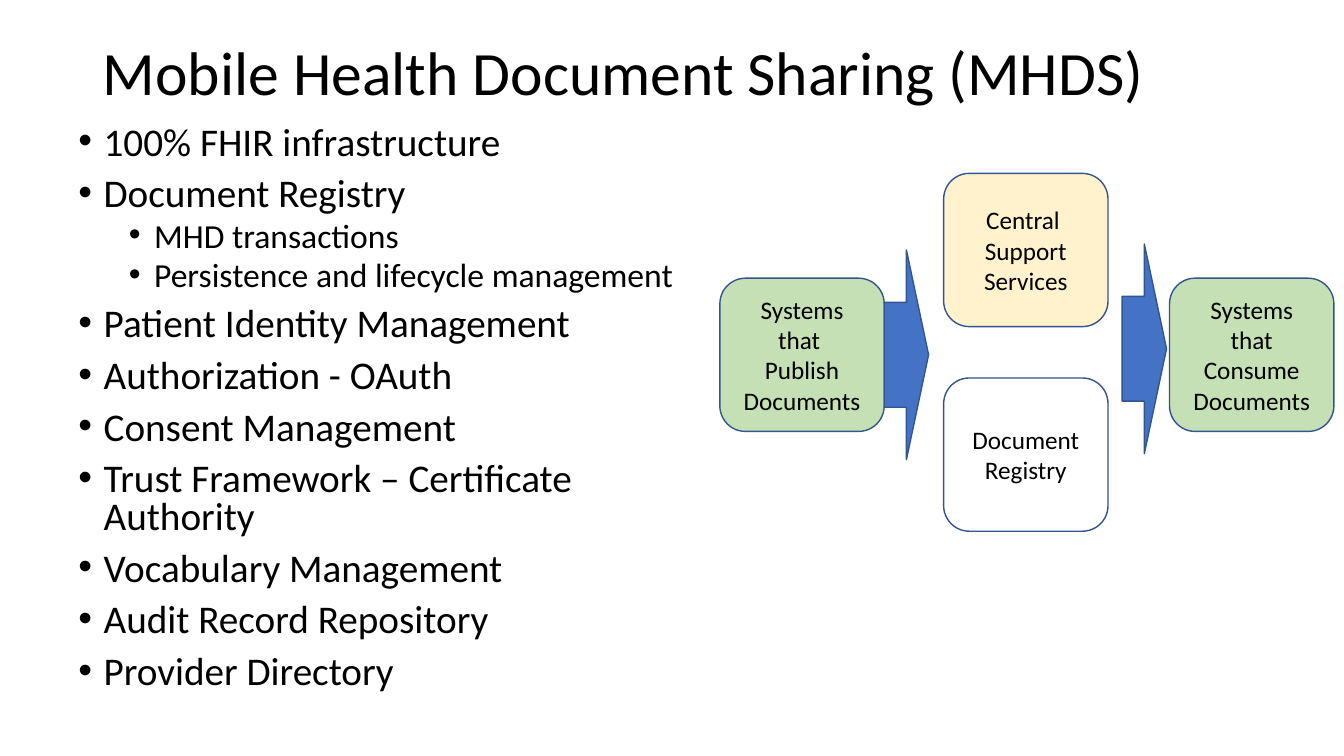
"""Build the Mobile Health Document Sharing slide."""
from lxml.etree import SubElement
from pptx import Presentation
from pptx.dml.color import RGBColor
from pptx.enum.shapes import MSO_SHAPE
from pptx.enum.text import MSO_ANCHOR, MSO_AUTO_SIZE, PP_ALIGN
from pptx.oxml.ns import qn
from pptx.util import Emu, Pt

PX = 9144
BLACK = RGBColor(0x00, 0x00, 0x00)
WHITE = RGBColor(0xFF, 0xFF, 0xFF)
CREAM = RGBColor(0xFF, 0xF2, 0xCC)
GREEN = RGBColor(0xC5, 0xE0, 0xB4)
BLUE = RGBColor(0x44, 0x72, 0xC4)
OUTLINE = RGBColor(0x32, 0x54, 0x91)

TITLE = "Mobile Health Document Sharing (MHDS)"
TOPICS = [
    (0, "100% FHIR infrastructure"),
    (0, "Document Registry"),
    (1, "MHD transactions"),
    (1, "Persistence and lifecycle management"),
    (0, "Patient Identity Management"),
    (0, "Authorization - OAuth"),
    (0, "Consent Management"),
    (0, "Trust Framework – Certificate Authority"),
    (0, "Vocabulary Management"),
    (0, "Audit Record Repository"),
    (0, "Provider Directory"),
]
BOX_WIDTH, BOX_HEIGHT = 163, 152
BOXES = [
    (936, 172, CREAM, "Central \vSupport Services"),
    (936, 375, WHITE, "Document Registry"),
    (714, 276, GREEN, "Systems that \vPublish Documents"),
    (1160, 276, GREEN, "Systems that Consume Documents"),
]
ARROW_WIDTH, ARROW_HEIGHT = 44, 208
ARROWS = [(877, 248), (1113, 242)]


def px(*lengths):
    """Turn whole px into EMU."""
    return [Emu(length * PX) for length in lengths]


def write(paragraph, text, size=18, align=PP_ALIGN.LEFT, spacing=1.0, before=0):
    """Fill a paragraph with formatted text."""
    paragraph.text = text
    paragraph.alignment = align
    paragraph.line_spacing = spacing
    paragraph.space_before = Pt(before)
    paragraph.font.size = Pt(size)
    for run in paragraph.runs:
        run.font.size = Pt(size)
        run.font.name = "Calibri"
        run.font.color.rgb = BLACK


class SlideBuilder:
    """Hold the style and the current slide."""

    def __init__(self, presentation):
        """Add a title-only slide."""
        self.slide = presentation.slides.add_slide(presentation.slide_layouts[5])
        self.line_width = Pt(1)

    def title(self, text, left, top, width, height):
        """Place and fill the title placeholder."""
        title = self.slide.shapes.title
        title.left, title.top, title.width, title.height = px(left, top, width, height)
        title.text_frame.auto_size = MSO_AUTO_SIZE.NONE
        title.text_frame.vertical_anchor = MSO_ANCHOR.MIDDLE
        write(title.text_frame.paragraphs[0], text, size=44, spacing=0.9)

    def bullets(self, items, left, top, width, height):
        """Add a two-level bulleted list."""
        frame = self.slide.shapes.add_textbox(*px(left, top, width, height)).text_frame
        frame.word_wrap = True
        for index, (level, text) in enumerate(items):
            paragraph = frame.add_paragraph() if index else frame.paragraphs[0]
            write(paragraph, text, size=28 - 4 * level, spacing=0.8, before=10 - 5 * level)
            paragraph.level = level
            properties = paragraph._p.get_or_add_pPr()
            indent, hanging = px(25 + 50 * level, -25)
            properties.set("marL", str(indent))
            properties.set("indent", str(hanging))
            SubElement(properties, qn("a:buFont"), typeface="Arial")
            SubElement(properties, qn("a:buChar"), char="•")

    def shape(self, kind, left, top, width, height, fill):
        """Add an outlined preset shape."""
        shape = self.slide.shapes.add_shape(kind, *px(left, top, width, height))
        shape.shadow.inherit = False
        shape.fill.solid()
        shape.fill.fore_color.rgb = fill
        shape.line.color.rgb = OUTLINE
        shape.line.width = self.line_width
        return shape

    def box(self, left, top, fill, text):
        """Add a rounded box with a centred label."""
        shape = self.shape(MSO_SHAPE.ROUNDED_RECTANGLE, left, top, BOX_WIDTH, BOX_HEIGHT, fill)
        frame = shape.text_frame
        frame.word_wrap = True
        frame.vertical_anchor = MSO_ANCHOR.MIDDLE
        write(frame.paragraphs[0], text, align=PP_ALIGN.CENTER)

    def arrow(self, left, top):
        """Add a block arrow pointing right."""
        self.shape(MSO_SHAPE.RIGHT_ARROW, left, top, ARROW_WIDTH, ARROW_HEIGHT, BLUE)


def main():
    """Build and save the presentation."""
    presentation = Presentation()
    presentation.slide_width, presentation.slide_height = px(1333, 750)
    builder = SlideBuilder(presentation)
    builder.title(TITLE, 92, 2, 1150, 145)
    builder.bullets(TOPICS, 68, 120, 632, 585)
    for box in BOXES:
        builder.box(*box)
    for arrow in ARROWS:
        builder.arrow(*arrow)
    presentation.save("out.pptx")


if __name__ == "__main__":
    main()
